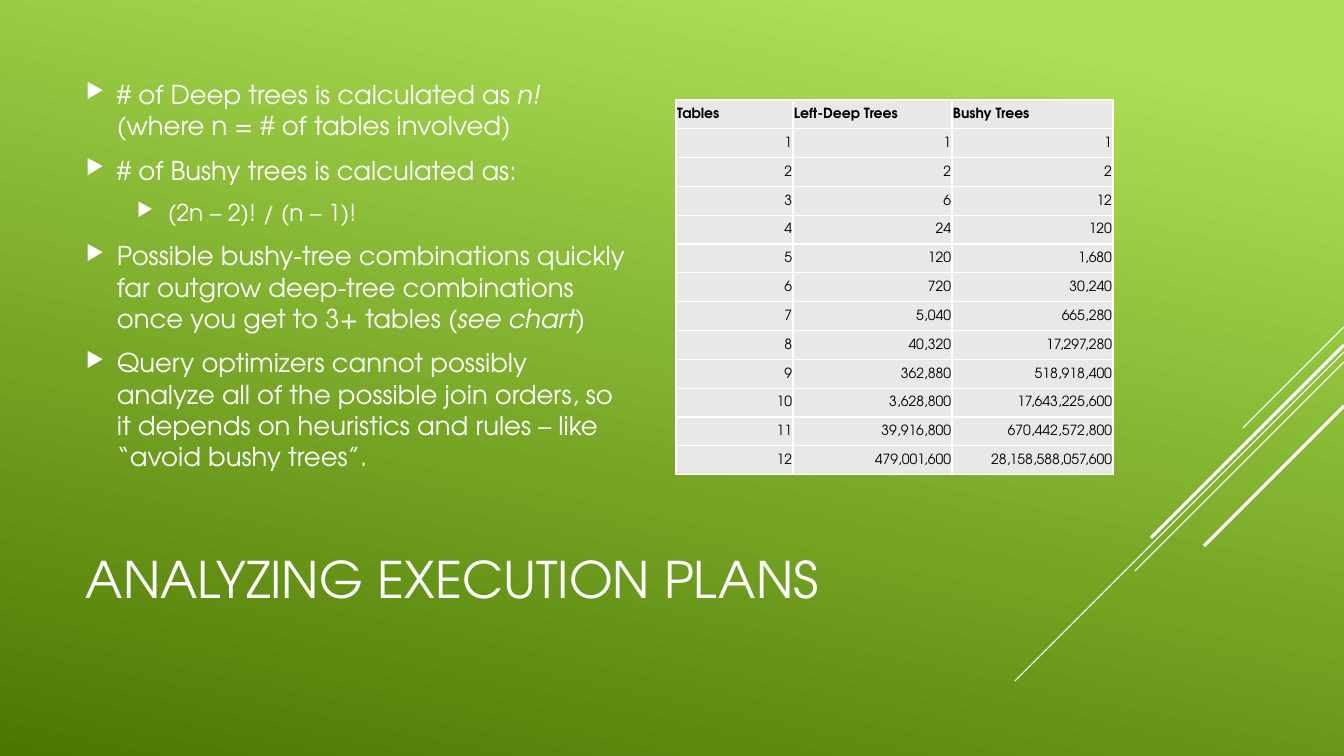
from math import factorial

from lxml.etree import SubElement
from pptx import Presentation
from pptx.dml.color import RGBColor
from pptx.enum.shapes import MSO_CONNECTOR as Connector
from pptx.enum.text import MSO_ANCHOR as Anchor, PP_ALIGN as Align
from pptx.oxml.ns import qn
from pptx.util import Pt

PIXEL = 9144000 / 1008 * 1.0
WIDTH, HEIGHT = 1344, 756
FONT = "TeX Gyre Adventor"
COLOURS = {"light": "ACDF55", "dark": "4C7800", "white": "FFFFFF",
           "black": "000000", "cell": "E8E9E7"}
STREAKS = [(327, 101, 0.75), (352, 329, 0.75), (362, 209, 0.75),
           (345, 193, 2.25), (406, 140, 2.25)]
BULLETS = [
    (0, [("# of Deep trees is calculated as ", False), ("n! ", True),
         ("(where n = # of tables involved)", False)]),
    (0, [("# of Bushy trees is calculated as:", False)]),
    (1, [("(2n – 2)! / (n – 1)!", False)]),
    (0, [("Possible bushy-tree combinations quickly far outgrow deep-tree "
          "combinations once you get to 3+ tables (", False),
         ("see chart)", True)]),
    (0, [("Query optimizers cannot possibly analyze all of the possible join "
          "orders, so it depends on heuristics and rules – like “avoid bushy "
          "trees”.", False)]),
]
BULLET_SIZES = [18.5, 16.6]
BULLET_INDENTS = [31, 82]
HEADERS = ["Tables ", "Left-Deep Trees ", "Bushy Trees "]
COLUMN_WIDTHS = [117, 159, 161]
TABLE_COUNTS = range(1, 13)


def px(*lengths):
    """Turn pixels into EMU."""
    return [round(length * PIXEL) for length in lengths]


def colour(name):
    """Return a named colour."""
    return RGBColor.from_string(COLOURS[name])


def apply(target, values):
    """Set attributes from a dict."""
    for name, value in values.items():
        setattr(target, name, value)


def add_run(paragraph, text, size, shade="white", **values):
    """Add a run of text in the slide font."""
    run = paragraph.add_run()
    run.text = text
    apply(run.font, {"name": FONT, "size": Pt(size), **values})
    run.font.color.rgb = colour(shade)


def add_text_frame(slide, *box):
    """Add a wrapping, vertically centred text box."""
    frame = slide.shapes.add_textbox(*px(*box)).text_frame
    apply(frame, {"word_wrap": True, "vertical_anchor": Anchor.MIDDLE})
    return frame


def paint_background(slide):
    """Fill the slide with the green gradient."""
    fill = slide.background.fill
    fill.gradient()
    fill.gradient_angle = 258
    for stop, position, name in zip(fill.gradient_stops, (0.1, 1), ("light", "dark")):
        stop.position = position
        stop.color.rgb = colour(name)


def add_streak(slide, top, run, weight):
    """Draw a diagonal line down from the right edge."""
    ends = px(WIDTH, top, WIDTH - run, top + run)
    line = slide.shapes.add_connector(Connector.STRAIGHT, *ends)
    line.line.color.rgb = colour("white")
    line.line.width = Pt(weight)
    SubElement(line._element.spPr, qn("a:effectLst"))


def add_bullet_mark(paragraph, level):
    """Give a paragraph a hanging triangle bullet."""
    properties = paragraph._p.get_or_add_pPr()
    margin, hanging = px(BULLET_INDENTS[level], -31)
    properties.set("marL", str(margin))
    properties.set("indent", str(hanging))
    tint = SubElement(properties, qn("a:buClr"))
    SubElement(tint, qn("a:srgbClr"), val=COLOURS["white"])
    SubElement(properties, qn("a:buSzPct"), val="80000")
    SubElement(properties, qn("a:buChar"), char="▶")


def add_bullets(slide):
    """Add the list of points about join trees."""
    frame = add_text_frame(slide, 76, 76, 562, 398)
    for index, (level, runs) in enumerate(BULLETS):
        paragraph = frame.add_paragraph() if index else frame.paragraphs[0]
        size = BULLET_SIZES[level]
        apply(paragraph, {"level": level, "space_before": Pt(size * 0.2),
                          "space_after": Pt(6)})
        add_bullet_mark(paragraph, level)
        for text, italic in runs:
            add_run(paragraph, text, size, italic=italic)


def add_borders(cell):
    """Draw white lines round a cell."""
    properties = cell._tc.get_or_add_tcPr()
    for side in ("lnL", "lnR", "lnT", "lnB"):
        border = SubElement(properties, qn(f"a:{side}"), w=str(Pt(1)))
        fill = SubElement(border, qn("a:solidFill"))
        SubElement(fill, qn("a:srgbClr"), val=COLOURS["white"])


def fill_cell(cell, text, header):
    """Write and format one table cell."""
    edge = px(1)[0]
    apply(cell, {"margin_left": edge, "margin_right": edge, "margin_top": edge,
                 "margin_bottom": 0, "vertical_anchor": Anchor.MIDDLE})
    add_borders(cell)
    cell.fill.solid()
    cell.fill.fore_color.rgb = colour("cell")
    paragraph = cell.text_frame.paragraphs[0]
    paragraph.alignment = Align.LEFT if header else Align.RIGHT
    add_run(paragraph, text, 10, "black", bold=header)


def add_tree_table(slide):
    """Add the table of tree counts by number of tables."""
    counts = [(n, factorial(n), factorial(2 * n - 2) // factorial(n - 1))
              for n in TABLE_COUNTS]
    rows = [HEADERS] + [[f"{count:,}" for count in row] for row in counts]
    box = px(676, 100, sum(COLUMN_WIDTHS), 375)
    table = slide.shapes.add_table(len(rows), len(HEADERS), *box).table
    for column, width in zip(table.columns, px(*COLUMN_WIDTHS)):
        column.width = width
    for row_index, row in enumerate(rows):
        for column_index, text in enumerate(row):
            fill_cell(table.cell(row_index, column_index), text, row_index == 0)


def main():
    """Build and save the slide."""
    presentation = Presentation()
    width, height = px(WIDTH, HEIGHT)
    apply(presentation, {"slide_width": width, "slide_height": height})
    slide = presentation.slides.add_slide(presentation.slide_layouts[6])
    paint_background(slide)
    for streak in STREAKS:
        add_streak(slide, *streak)
    title = add_text_frame(slide, 76, 495, 940, 166)
    add_run(title.paragraphs[0], "ANALYZING EXECUTION PLANS", 36)
    add_bullets(slide)
    add_tree_table(slide)
    presentation.save("out.pptx")


main()
